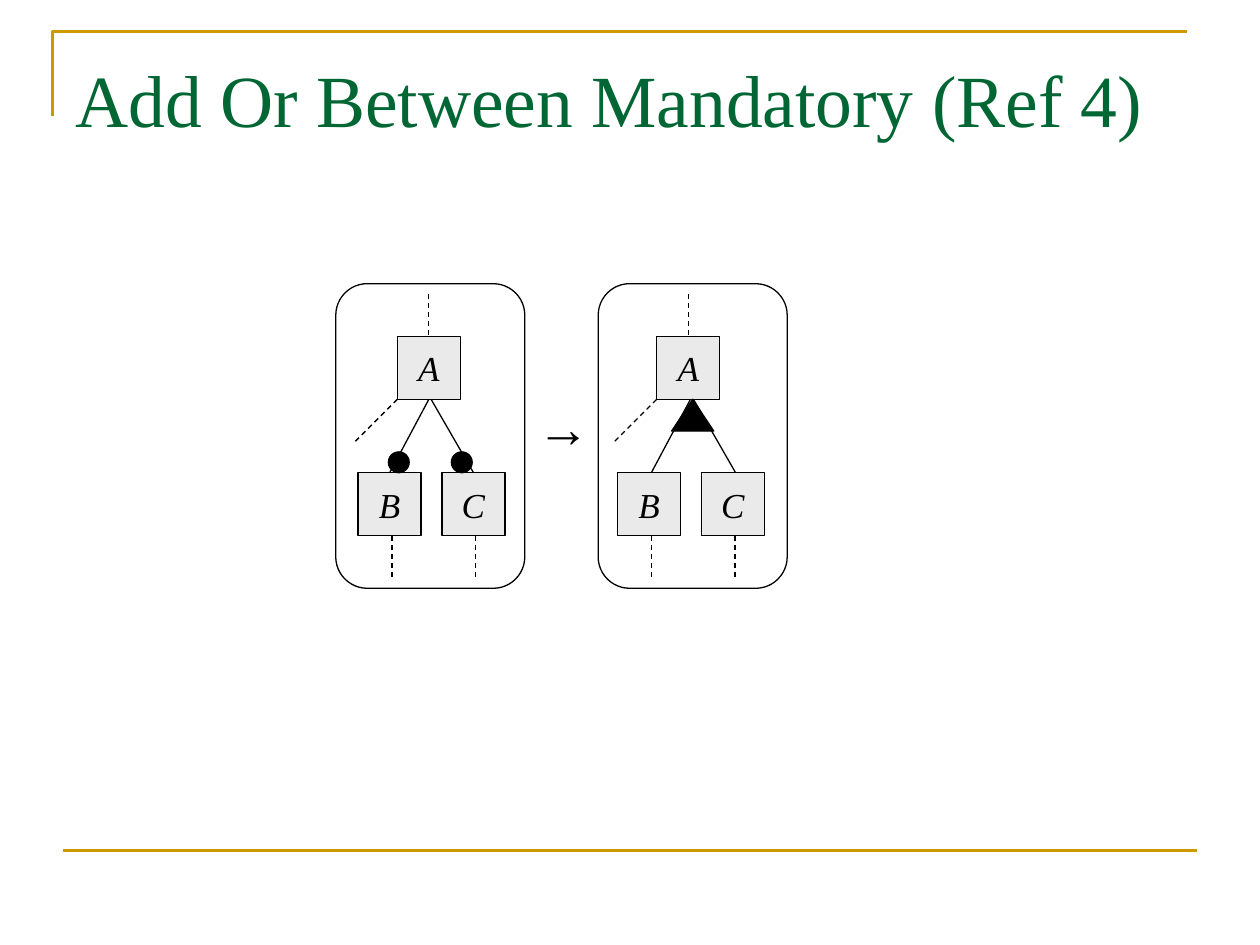
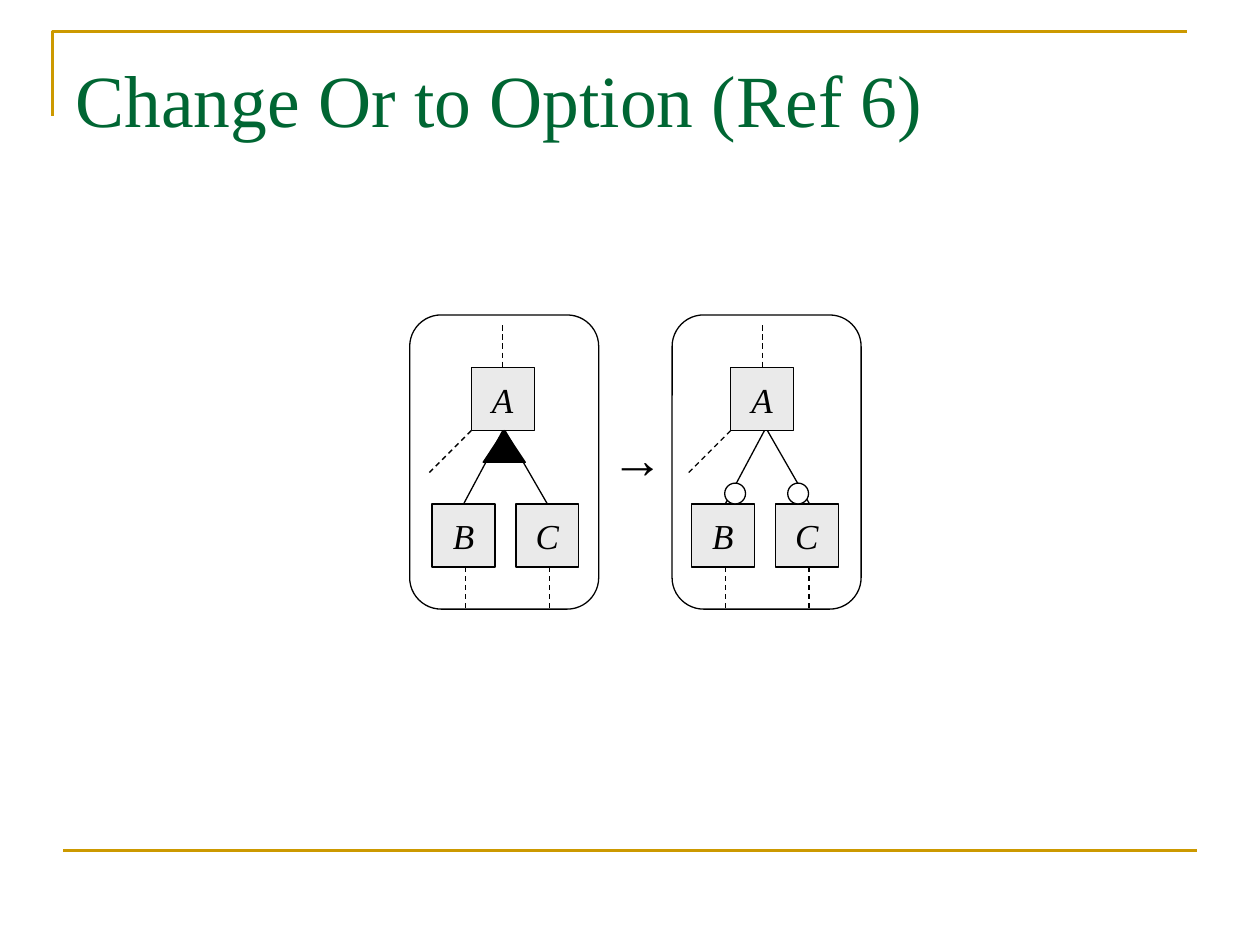
import pptx
import pptx.util
import pptx.dml.color
import pptx.enum.dml
import pptx.enum.shapes
import pptx.enum.text
from lxml import etree

Cm = pptx.util.Cm
Pt = pptx.util.Pt
RGB = pptx.dml.color.RGBColor
KIND = pptx.enum.shapes.MSO_SHAPE
ALIGN = pptx.enum.text.PP_ALIGN
ANCHOR = pptx.enum.text.MSO_ANCHOR
FIT = pptx.enum.text.MSO_AUTO_SIZE
DASH = pptx.enum.dml.MSO_LINE.DASH

GOLD = RGB(0xCC, 0x99, 0x00)
GREEN = RGB(0x00, 0x66, 0x33)
BLACK = RGB(0x00, 0x00, 0x00)
WHITE = RGB(0xFF, 0xFF, 0xFF)
GREY = RGB(0xEA, 0xEA, 0xEA)
SERIF = "Times New Roman"
MONO = "Courier New"
A_NS = "http://schemas.openxmlformats.org/drawingml/2006/main"

NODE = 1.27    # side of a feature square
STUB = 0.85    # length of a dashed stub
WIDE = 3.81    # width of a frame
STEP = 5.29    # from one frame to the next


def pen(item, color=BLACK, width=0.75):
    item.line.color.rgb = color
    item.line.width = Pt(width)


def shape(slide, kind, x, y, w, h, fill=None):
    item = slide.shapes.add_shape(kind, Cm(x), Cm(y), Cm(w), Cm(h))
    item.shadow.inherit = False
    if fill is None:
        item.fill.background()
    else:
        item.fill.solid()
        item.fill.fore_color.rgb = fill
    pen(item)
    return item


def line(slide, x1, y1, x2, y2, dash=False):
    item = slide.shapes.add_connector(
        pptx.enum.shapes.MSO_CONNECTOR.STRAIGHT, Cm(x1), Cm(y1), Cm(x2), Cm(y2))
    etree.SubElement(item._element.spPr, f"{{{A_NS}}}effectLst")
    pen(item)
    if dash:
        item.line.dash_style = DASH.DASH
    return item


def write(frame, text, size, font, color):
    part = frame.paragraphs[0]
    part.text = text
    part.font.size = Pt(size)
    part.font.name = font
    part.font.color.rgb = color
    return part


def base(deck, title):
    """Add a slide with the gold rules and its title."""
    slide = deck.slides.add_slide(deck.slide_layouts[6])
    pen_path = slide.shapes.build_freeform(Cm(1.06), Cm(2.33))
    pen_path.add_line_segments(
        [(Cm(1.06), Cm(0.64)), (Cm(23.92), Cm(0.64))], close=False)
    corner = pen_path.convert_to_shape()
    corner.shadow.inherit = False
    corner.fill.background()
    pen(corner, GOLD, 1.5)
    pen(line(slide, 1.27, 17.15, 24.13, 17.15), GOLD, 1.5)

    box = slide.shapes.add_textbox(Cm(1.27), Cm(0.76), Cm(22.86), Cm(3.18))
    box.text_frame.word_wrap = True
    box.text_frame.margin_top = Cm(0.32)
    write(box.text_frame, title, 42, SERIF, GREEN)
    return slide


def node(slide, name, x, y):
    item = shape(slide, KIND.RECTANGLE, x, y, NODE, NODE, GREY)
    frame = item.text_frame
    frame.word_wrap = False
    frame.vertical_anchor = ANCHOR.MIDDLE
    part = write(frame, name, 20, SERIF, BLACK)
    part.font.italic = True
    part.alignment = ALIGN.CENTER
    return item


def tree(slide, left, top, high, shift, mark, join):
    """Draw a framed feature tree whose root sits shift from the frame."""
    x = left + shift
    foot = top + 1.06 + NODE
    low = top + 3.81
    root = node(slide, "A", x, top + 1.06)
    kids = [node(slide, name, x - 0.79 + 1.69 * i, low)
            for i, name in enumerate("BC")]

    stem = line(slide, x + NODE / 2, top + 0.21, x + NODE / 2, top + 1.06, True)
    stem.end_connect(root, 0)
    line(slide, x, foot, x - STUB, foot + STUB, True)
    for i, kid in enumerate(kids):
        drop = x - 0.11 + 1.69 * i
        line(slide, drop, low + NODE, drop, low + NODE + STUB, True)
        limb = line(slide, left + 1.86 + 0.06 * i, foot,
                    left + 1.07 + 1.7 * i, low)
        if join:
            limb.end_connect(kid, 0)
            if i == 0:
                limb.begin_connect(root, 2)

    mark(slide, left, top)
    frame = shape(slide, KIND.ROUNDED_RECTANGLE, left, top, WIDE, high)
    frame.adjustments[0] = 1 / 6


def wedge(slide, left, top):
    """Mark an or group."""
    shape(slide, KIND.ISOSCELES_TRIANGLE, left + 1.48, top + 2.33,
          0.85, 0.64, BLACK)


def dots(slide, left, top, fill):
    for i in range(2):
        shape(slide, KIND.OVAL, left + 1.06 + 1.27 * i, top + 3.39,
              0.42, 0.42, fill)


def must(slide, left, top):
    """Mark both children as mandatory."""
    dots(slide, left, top, BLACK)


def may(slide, left, top):
    """Mark both children as optional."""
    dots(slide, left, top, WHITE)


def arrow(slide, x, y):
    box = slide.shapes.add_textbox(Cm(x), Cm(y), Cm(1.14), Cm(1.52))
    box.text_frame.word_wrap = False
    box.text_frame.auto_size = FIT.SHAPE_TO_FIT_TEXT
    write(box.text_frame, "→", 30, MONO, BLACK)


def change(deck, title, left, top, high, before, after):
    """Show a tree before and after one refactoring."""
    slide = base(deck, title)
    tree(slide, left, top, high, 1.24, before, True)
    tree(slide, left + STEP, top, high, 1.18, after, False)
    arrow(slide, left + 4.02, top + 2.12)


def main():
    deck = pptx.Presentation()
    deck.slide_width = Cm(25.4)
    deck.slide_height = Cm(19.05)
    change(deck, "Add Or Between Mandatory (Ref 4)",
           6.77, 5.72, 6.14, must, wedge)
    change(deck, "Change Or to Option (Ref 6)",
           8.26, 6.35, 5.93, wedge, may)
    deck.save("out.pptx")


if __name__ == "__main__":
    main()
